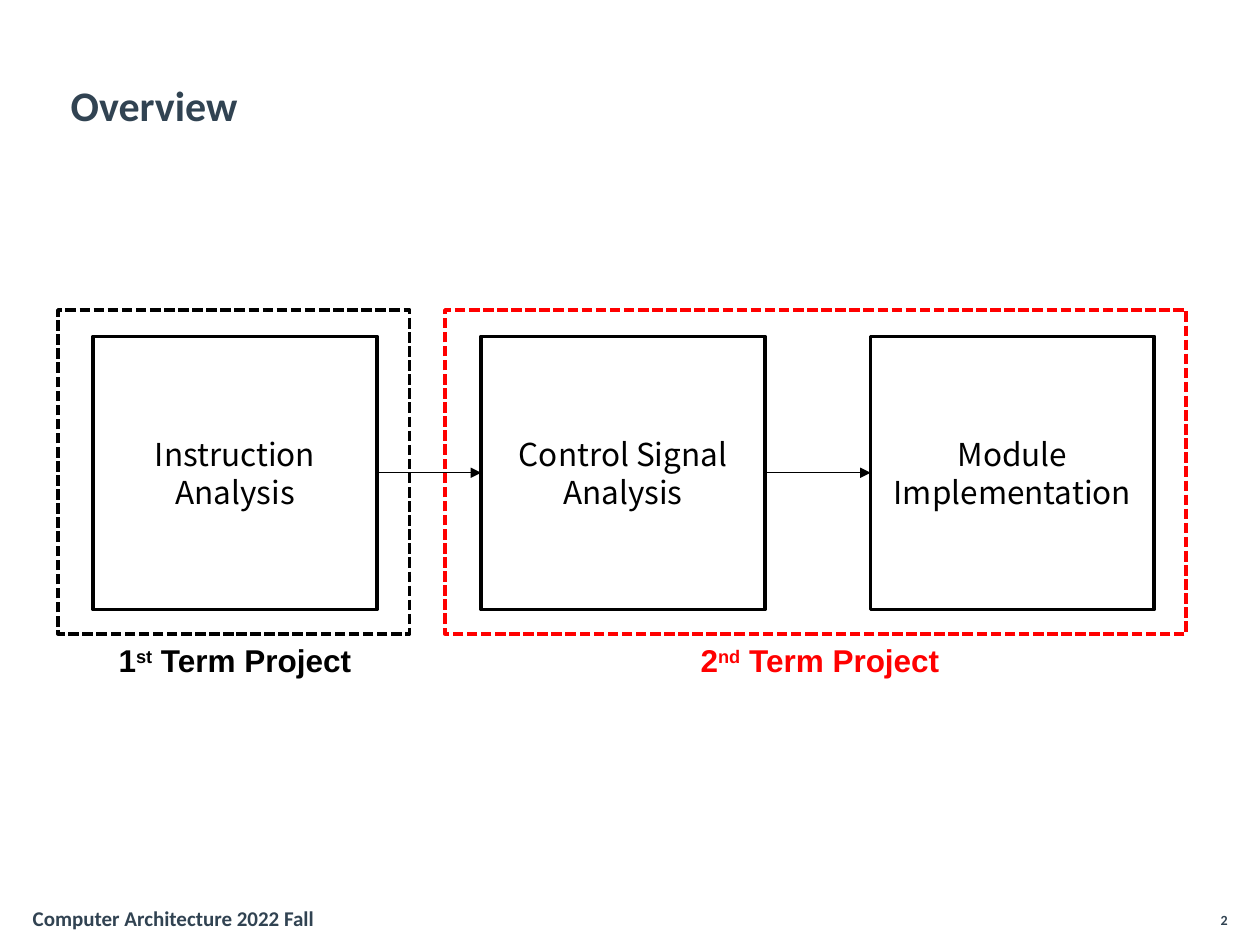
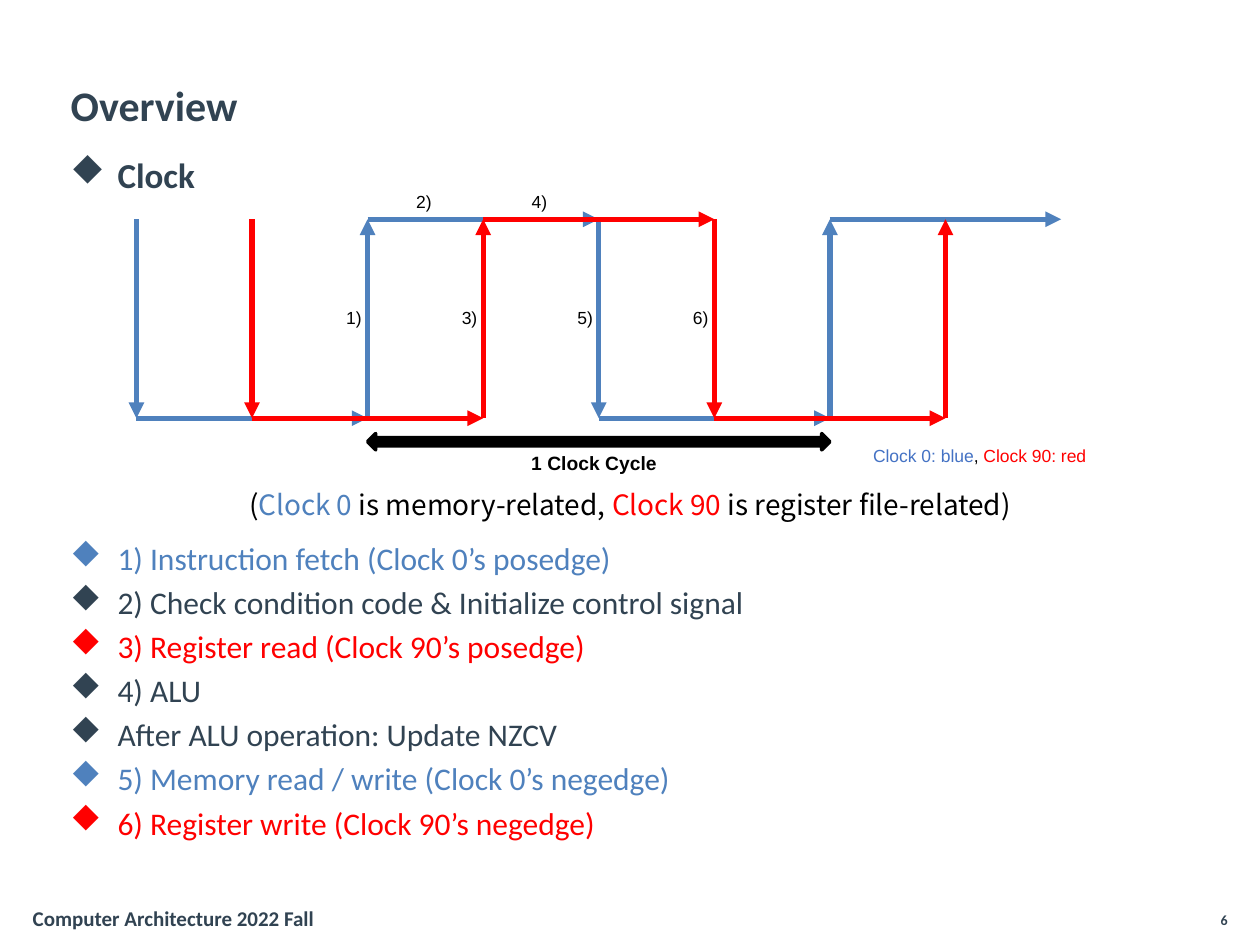
from pptx import Presentation
from pptx.dml.color import RGBColor
from pptx.enum.dml import MSO_LINE
from pptx.enum.shapes import MSO_CONNECTOR, MSO_SHAPE
from pptx.enum.text import MSO_ANCHOR, MSO_AUTO_SIZE, PP_ALIGN
from pptx.oxml.ns import qn
from pptx.util import Cm, Pt
from lxml.etree import SubElement

COLORS = {"navy": "314352", "black": "000000", "red": "FF0000",
          "blue": "4F81BD", "legend": "4472C4"}
HEADING_FONT = "Calibri"
LABEL_FONT = "Arial"
BODY_FONT = "Noto Sans CJK KR"
BULLET_FONT, DIAMOND = "Wingdings", "u"
TITLE_ONLY = 5

CLOCK_LEFT, QUARTER = 2.75, 2.33
HIGH, LOW = 4.42, 8.43


def color(name):
    return RGBColor.from_string(COLORS[name])


def add_span(para, text, size, font, tint="black", bold=False, raised=False):
    span = para.add_run()
    span.text = text
    span.font.size = Pt(size)
    span.font.name = font
    span.font.bold = bold
    span.font.color.rgb = color(tint)
    if raised:
        span._r.get_or_add_rPr().set("baseline", "30000")


def add_box(page, left, top, width, height, wrap=True):
    box = page.shapes.add_textbox(Cm(left), Cm(top), Cm(width), Cm(height))
    frame = box.text_frame
    frame.word_wrap = wrap
    if not wrap:
        frame.auto_size = MSO_AUTO_SIZE.SHAPE_TO_FIT_TEXT
    return frame


def add_label(page, text, left, top, width=0.85, height=0.66, size=10, bold=False):
    frame = add_box(page, left, top, width, height, wrap=False)
    add_span(frame.paragraphs[0], text, size, LABEL_FONT, bold=bold)


def add_bullets(page, top, height, items, size, bold=False):
    frame = add_box(page, 1.17, top, 23.6, height)
    for index, (text, tint) in enumerate(items):
        para = frame.add_paragraph() if index else frame.paragraphs[0]
        para.space_before = Pt(size / 5)
        properties = para._p.get_or_add_pPr()
        properties.set("marL", str(Cm(0.95)))
        properties.set("indent", str(-Cm(0.95)))
        SubElement(properties, qn("a:buFont")).set("typeface", BULLET_FONT)
        SubElement(properties, qn("a:buChar")).set("char", DIAMOND)
        add_span(para, text, size, HEADING_FONT, tint, bold)


def add_outline(page, left, top, width, height, tint="black", dashed=False):
    shape = page.shapes.add_shape(
        MSO_SHAPE.RECTANGLE, Cm(left), Cm(top), Cm(width), Cm(height))
    shape.shadow.inherit = False
    shape.fill.background()
    shape.line.color.rgb = color(tint)
    shape.line.width = Pt(2)
    if dashed:
        shape.line.dash_style = MSO_LINE.SQUARE_DOT
        shape.line._ln.find(qn("a:prstDash")).set("val", "sysDash")
    return shape


def add_stage(page, text, left):
    frame = add_outline(page, left, 6.78, 5.72, 5.51).text_frame
    frame.word_wrap = True
    frame.vertical_anchor = MSO_ANCHOR.MIDDLE
    para = frame.paragraphs[0]
    para.alignment = PP_ALIGN.CENTER
    para.line_spacing = Pt(21.7)
    add_span(para, text, 18, BODY_FONT)


def add_arrow(page, start, end, tint="black", width=0.75):
    arrow = page.shapes.add_connector(
        MSO_CONNECTOR.STRAIGHT, *(Cm(value) for value in (*start, *end)))
    arrow.line.color.rgb = color(tint)
    arrow.line.width = Pt(width)
    SubElement(arrow.line._ln, qn("a:tailEnd")).set("type", "triangle")
    SubElement(arrow._element.spPr, qn("a:effectLst"))


def add_term(page, number, suffix, tint, left, width):
    para = add_box(page, left, 12.8, width, 1.02).paragraphs[0]
    para.alignment = PP_ALIGN.CENTER
    for text, raised in ((number, False), (suffix, True), (" Term Project", False)):
        add_span(para, text, 18, LABEL_FONT, tint, True, raised)


def quarter_x(quarter):
    return CLOCK_LEFT + quarter * QUARTER


def add_clock(page, first_quarter, tint, edges):
    start = (quarter_x(first_quarter), HIGH)
    for edge in range(edges):
        x, y = start
        if edge % 2:
            end = (x + 2 * QUARTER, y)
        else:
            end = (x, LOW if y == HIGH else HIGH)
        add_arrow(page, start, end, tint, 3)
        start = end


def add_page(deck, title, number):
    page = deck.slides.add_slide(deck.slide_layouts[TITLE_ONLY])
    holder = page.shapes.title
    holder.left, holder.top = Cm(1.17), Cm(1.47)
    holder.width, holder.height = Cm(23.16), Cm(1.27)
    frame = holder.text_frame
    frame.auto_size = MSO_AUTO_SIZE.NONE
    frame.vertical_anchor = MSO_ANCHOR.MIDDLE
    frame.paragraphs[0].alignment = PP_ALIGN.LEFT
    add_span(frame.paragraphs[0], title, 24, HEADING_FONT, "navy", True)

    counter = add_box(page, 16.69, 18.26, 8.31, 0.64).paragraphs[0]
    counter.alignment = PP_ALIGN.RIGHT
    add_span(counter, str(number), 8, HEADING_FONT, "navy", True)
    footer = add_box(page, 0.41, 18.14, 8.31, 0.79).paragraphs[0]
    add_span(footer, "Computer Architecture 2022 Fall", 12, HEADING_FONT, "navy", True)
    return page


def build_projects(deck):
    page = add_page(deck, "Overview", 2)
    for text, left in (("Instruction Analysis", 1.88),
                       ("Control Signal Analysis", 9.7),
                       ("Module Implementation", 17.55)):
        add_stage(page, text, left)
    for start, end in ((7.6, 9.7), (15.47, 17.55)):
        add_arrow(page, (start, 9.53), (end, 9.53))
    add_term(page, "1", "st", "black", 2.08, 5.31)
    add_term(page, "2", "nd", "red", 13.67, 5.72)
    add_outline(page, 1.17, 6.25, 7.09, 6.53, "black", dashed=True)
    add_outline(page, 8.97, 6.25, 14.94, 6.53, "red", dashed=True)


def add_cycle_span(page):
    cycle = page.shapes.add_shape(
        MSO_SHAPE.LEFT_RIGHT_ARROW, Cm(quarter_x(2)), Cm(8.74),
        Cm(4 * QUARTER), Cm(0.33))
    cycle.shadow.inherit = False
    cycle.fill.solid()
    cycle.fill.fore_color.rgb = color("black")
    cycle.line.color.rgb = color("black")
    cycle.line.width = Pt(2)
    add_label(page, "1 Clock Cycle", 10.46, 8.97, 3.05, 0.74, 11, True)


def build_clock(deck):
    page = add_page(deck, "Overview", 6)
    add_bullets(page, 10.74, 2.97, (
        ("1) Instruction fetch (Clock 0’s posedge)", "blue"),
        ("2) Check condition code & Initialize control signal", "navy"),
        ("3) Register read (Clock 90’s posedge)", "red"),
        ("4) ALU", "navy"),
        ("After ALU operation: Update NZCV", "navy"),
        ("5) Memory read / write (Clock 0’s negedge)", "blue"),
        ("6) Register write (Clock 90’s negedge)", "red")), 18)
    add_clock(page, 0, "blue", 8)
    add_clock(page, 1, "red", 7)
    for quarter, text in enumerate(("1)", "3)", "5)", "6)"), start=2):
        add_label(page, text, quarter_x(quarter) - 0.68, 6.07)
    for quarter, text in enumerate(("2)", "4)"), start=2):
        add_label(page, text, quarter_x(quarter) + 0.73, 3.73)

    legend = add_box(page, 17.35, 8.84, 4.83, 0.66, wrap=False).paragraphs[0]
    for text, tint in (("Clock 0: blue", "legend"), (", ", "black"),
                       ("Clock 90: red", "red")):
        add_span(legend, text, 10, LABEL_FONT, tint)

    caption = add_box(page, 4.57, 9.7, 16.26, 2.97).paragraphs[0]
    caption.alignment = PP_ALIGN.CENTER
    caption.line_spacing = Pt(19.3)
    for text, tint in (("(", "black"), ("Clock 0 ", "blue"),
                       ("is memory-related, ", "black"), ("Clock 90 ", "red"),
                       ("is register file-related)", "black")):
        add_span(caption, text, 16, BODY_FONT, tint)

    add_cycle_span(page)
    add_bullets(page, 2.97, 1.27, (("Clock", "navy"),), 20, True)


def main():
    deck = Presentation()
    deck.slide_width, deck.slide_height = Cm(25.4), Cm(19.05)
    build_projects(deck)
    build_clock(deck)
    deck.save("out.pptx")


main()
